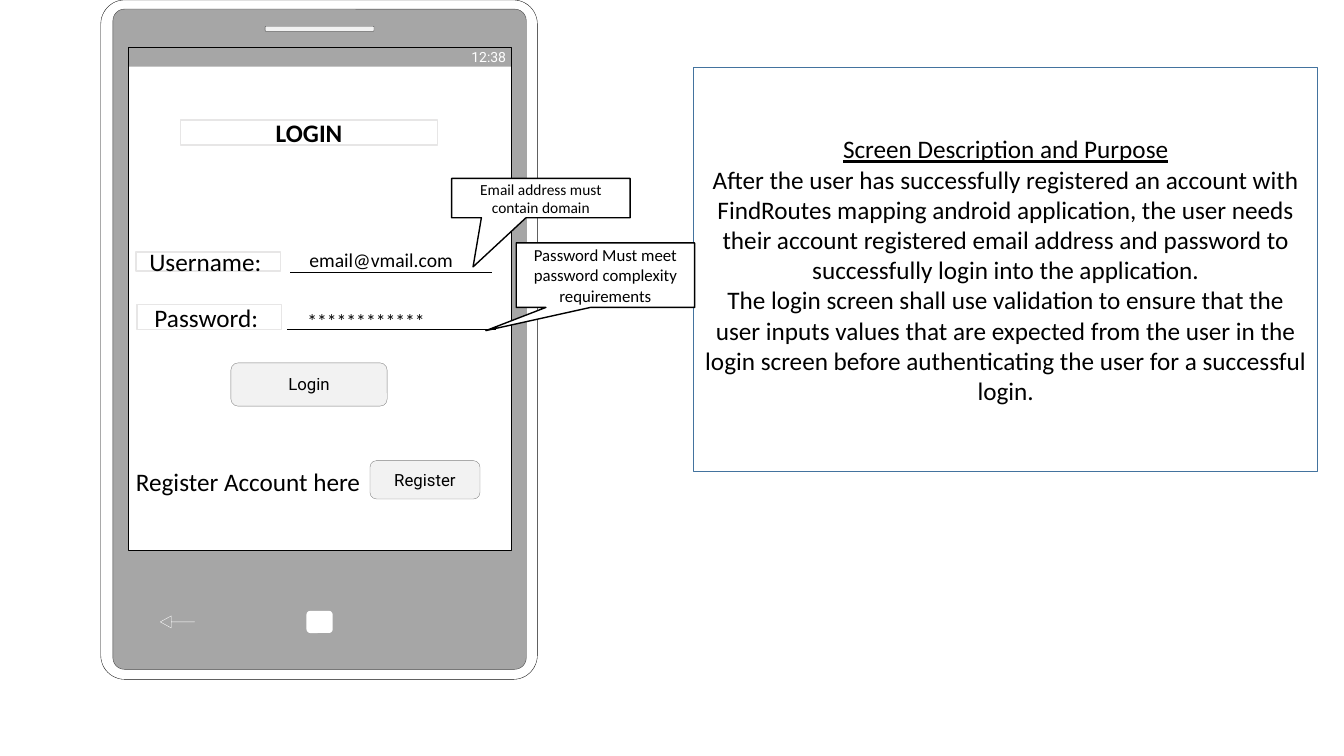
import lxml.etree
import pptx
import pptx.dml.color
import pptx.enum.shapes
import pptx.enum.text
import pptx.oxml.ns
import pptx.util

Inches = pptx.util.Inches
RGBColor = pptx.dml.color.RGBColor
SHAPE = pptx.enum.shapes.MSO_SHAPE
ALIGN = pptx.enum.text.PP_ALIGN
ANCHOR = pptx.enum.text.MSO_ANCHOR
qn = pptx.oxml.ns.qn

WHITE = RGBColor(0xFF, 0xFF, 0xFF)
BLACK = RGBColor(0x00, 0x00, 0x00)
NEAR_BLACK = RGBColor(0x0D, 0x0D, 0x0D)
BODY_GRAY = RGBColor(0xA6, 0xA6, 0xA6)
EDGE_GRAY = RGBColor(0x40, 0x40, 0x40)
BUTTON_FILL = RGBColor(0xF2, 0xF2, 0xF2)
BUTTON_LINE = RGBColor(0x80, 0x80, 0x80)
LABEL_LINE = RGBColor(0xE7, 0xE6, 0xE6)
PANEL_LINE = RGBColor(0x43, 0x73, 0x9E)

presentation = pptx.Presentation()
presentation.slide_width = Inches(13.33)
presentation.slide_height = Inches(7.5)
slide = presentation.slides.add_slide(presentation.slide_layouts[6])


def add_box(kind, place, fill, line, width, adjustments=()):
    shape = slide.shapes.add_shape(kind, *[Inches(length) for length in place])
    shape.shadow.inherit = False
    for index, value in enumerate(adjustments):
        shape.adjustments[index] = value
    if fill is None:
        shape.fill.background()
    else:
        shape.fill.solid()
        shape.fill.fore_color.rgb = fill
    if line is None:
        shape.line.fill.background()
    else:
        shape.line.color.rgb = line
        shape.line.width = pptx.util.Pt(width)
    return shape


def write(shape, text, size, font="Calibri", align=ALIGN.CENTER, color=BLACK):
    frame = shape.text_frame
    frame.word_wrap = True
    frame.text = text
    for paragraph in frame.paragraphs:
        paragraph.alignment = align
        for run in paragraph.runs:
            run.font.name = font
            run.font.size = pptx.util.Pt(size)
            run.font.color.rgb = color
    return frame


add_box(SHAPE.ROUNDED_RECTANGLE, (1, 0, 4.33, 6.74), WHITE, NEAR_BLACK, 0.25, [0.055])
add_box(SHAPE.ROUNDED_RECTANGLE, (1.12, 0.09, 4.1, 6.55), BODY_GRAY, EDGE_GRAY, 0.25, [0.028])
add_box(SHAPE.RECTANGLE, (1.27, 0.47, 3.8, 4.99), WHITE, BLACK, 0.25)
add_box(SHAPE.LEFT_ARROW, (1.59, 6.11, 0.34, 0.12), None, WHITE, 0.25, [0, 0.91])
add_box(SHAPE.ROUNDED_RECTANGLE, (3.04, 6.06, 0.26, 0.22), WHITE, None, 0)
add_box(SHAPE.ROUNDED_RECTANGLE, (2.63, 0.26, 1.08, 0.05), BUTTON_FILL, EDGE_GRAY, 0.25)

status_bar = add_box(SHAPE.RECTANGLE, (1.27, 0.47, 3.8, 0.19), BLACK, None, 0)
status_color = status_bar.fill._xPr.find(qn("a:solidFill")).find(qn("a:srgbClr"))
lxml.etree.SubElement(status_color, qn("a:alpha")).set("val", "35000")
status_frame = write(status_bar, "12:38", 10, "Roboto", ALIGN.RIGHT, WHITE)
status_frame.margin_left = status_frame.margin_right = Inches(0.05)
status_frame.margin_top = status_frame.margin_bottom = Inches(0.05)

for text, place in (
    ("Register", (3.67, 4.57, 1.09, 0.38)),
    ("Login", (2.29, 3.6, 1.55, 0.43)),
):
    button = add_box(SHAPE.ROUNDED_RECTANGLE, place, BUTTON_FILL, BUTTON_LINE, 0.25)
    button_frame = write(button, text, 12, "Roboto")
    button_frame.margin_top = 0
    button_frame.margin_bottom = Inches(0.01)

panel = add_box(SHAPE.RECTANGLE, (6.88, 0.67, 6.19, 4.01), WHITE, PANEL_LINE, 1)
panel_frame = write(
    panel,
    "Screen Description and Purpose\n"
    "After the user has successfully registered an account with FindRoutes mapping "
    "android application, the user needs their account registered email address and "
    "password to successfully login into the application.\n"
    "The login screen shall use validation to ensure that the user inputs values that "
    "are expected from the user in the login screen before authenticating the user for "
    "a successful login.",
    18,
)
panel_frame.paragraphs[0].runs[0].font.underline = True

for text, place, bold in (
    ("LOGIN", (1.79, 1.19, 2.55, 0.25), True),
    ("Username: ", (1.35, 2.5, 1.43, 0.19), False),
    ("Password: ", (1.36, 3.02, 1.43, 0.25), False),
):
    label = add_box(SHAPE.RECTANGLE, place, WHITE, LABEL_LINE, 1)
    write(label, text, 18).paragraphs[0].runs[0].font.bold = bold

for left, right, height in ((2.88, 4.88, 2.7), (2.85, 4.92, 3.27)):
    field_line = slide.shapes.add_connector(
        pptx.enum.shapes.MSO_CONNECTOR.STRAIGHT,
        Inches(left), Inches(height), Inches(right), Inches(height),
    )
    field_line.line.color.rgb = BLACK
    field_line.line.width = pptx.util.Pt(0.5)
    lxml.etree.SubElement(field_line._element.spPr, qn("a:effectLst"))

for text, place, size in (
    ("Register Account here", (1.25, 4.58, 2.47, 0.4), 18),
    ("email@vmail.com", (2.97, 2.41, 2.07, 0.34), 14),
    ("************", (2.95, 3.02, 1.92, 0.34), 14),
):
    text_box = slide.shapes.add_textbox(*[Inches(length) for length in place])
    text_frame = write(text_box, text, size, align=ALIGN.LEFT)
    text_frame.vertical_anchor = ANCHOR.TOP
    text_frame.auto_size = pptx.enum.text.MSO_AUTO_SIZE.SHAPE_TO_FIT_TEXT

for text, place, pointer, size in (
    ("Email address must contain domain", (4.48, 1.77, 1.77, 0.39), (-0.38, 1.75), 11),
    ("Password Must meet password complexity requirements",
     (5.12, 2.41, 1.77, 0.64), (-0.67, 0.86), 12),
):
    callout = add_box(SHAPE.RECTANGULAR_CALLOUT, place, WHITE, BLACK, 1, pointer)
    write(callout, text, size)

presentation.save("out.pptx")
